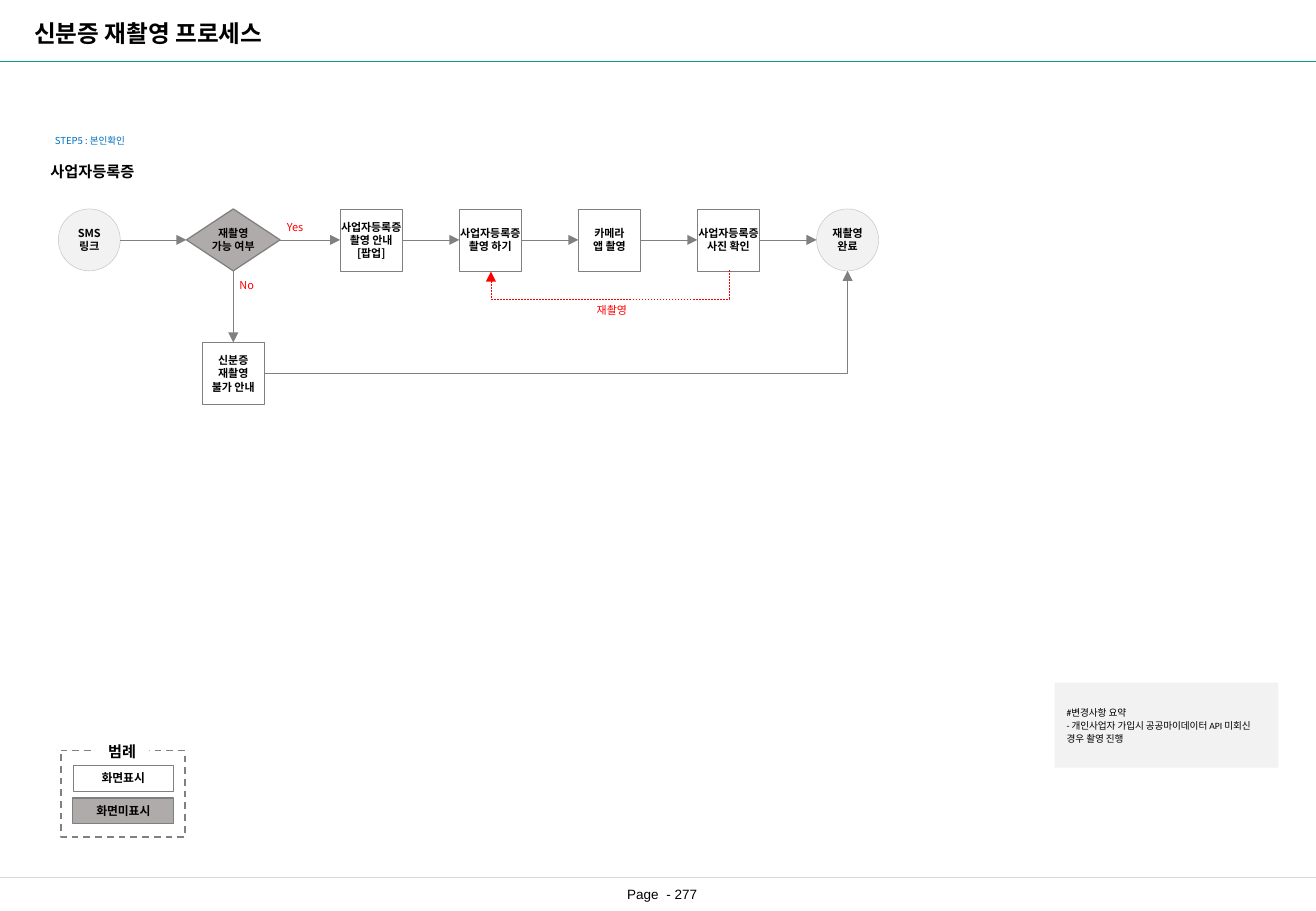
import lxml.etree
import pptx
import pptx.dml.color
import pptx.enum.dml
import pptx.enum.shapes
import pptx.enum.text
import pptx.oxml.ns
import pptx.util

Inches = pptx.util.Inches
Pt = pptx.util.Pt
RGB = pptx.dml.color.RGBColor
SHAPE = pptx.enum.shapes.MSO_SHAPE
LINK = pptx.enum.shapes.MSO_CONNECTOR
DASH = pptx.enum.dml.MSO_LINE
ANCHOR = pptx.enum.text.MSO_ANCHOR
ALIGN = pptx.enum.text.PP_ALIGN
qn = pptx.oxml.ns.qn

BLACK = RGB(0x00, 0x00, 0x00)
WHITE = RGB(0xFF, 0xFF, 0xFF)
RED = RGB(0xFF, 0x00, 0x00)
BLUE = RGB(0x00, 0x70, 0xC0)
TEAL = RGB(0x00, 0x99, 0x99)
GRAY = RGB(0x80, 0x80, 0x80)
DARK_GRAY = RGB(0x7F, 0x7F, 0x7F)
FILL_GRAY = RGB(0xAF, 0xAB, 0xAB)
RING_GRAY = RGB(0xBF, 0xBF, 0xBF)
RULE_GRAY = RGB(0xD9, 0xD9, 0xD9)
PALE = RGB(0xF2, 0xF2, 0xF2)
KOREAN = "Noto Sans CJK KR"
W, H = 10.83, 7.5
TOP, LEFT, BOTTOM, RIGHT = range(4)
NODE = 0.51


def write(sp, lines, size, color=BLACK, bold=False, align=ALIGN.CENTER, font=KOREAN,
          inset=(0.1, 0.05), anchor=ANCHOR.MIDDLE, wrap=False, spacing=None):
    tf = sp.text_frame
    tf.word_wrap = wrap
    tf.vertical_anchor = anchor
    tf.margin_left = tf.margin_right = Inches(inset[0])
    tf.margin_top = tf.margin_bottom = Inches(inset[1])
    for i, line in enumerate(lines):
        p = tf.paragraphs[0] if i == 0 else tf.add_paragraph()
        p.alignment = align
        if spacing:
            p.line_spacing = spacing
        r = p.add_run()
        r.text = line
        r.font.size = Pt(size)
        r.font.bold = bold
        r.font.color.rgb = color
        r.font.name = font
        ea = lxml.etree.SubElement(r.font._element, qn("a:ea"))
        ea.set("typeface", KOREAN)


def label(s, box, lines, size, **style):
    sp = s.shapes.add_textbox(*map(Inches, box))
    write(sp, lines, size, **style)
    return sp


def block(s, kind, box, fill=None, line=None, width=0.25):
    sp = s.shapes.add_shape(kind, *map(Inches, box))
    sp.shadow.inherit = False
    if fill is None:
        sp.fill.background()
    else:
        sp.fill.solid()
        sp.fill.fore_color.rgb = fill
    if line is None:
        sp.line.fill.background()
    else:
        sp.line.color.rgb = line
        sp.line.width = Pt(width)
    return sp


def connector(s, kind, start, end, color=GRAY, width=0.25, dash=None, arrow=False):
    c = s.shapes.add_connector(kind, *start, *end)
    c.line.color.rgb = color
    c.line.width = Pt(width)
    if dash:
        c.line.dash_style = dash
    if arrow:
        tail = lxml.etree.SubElement(c.line._get_or_add_ln(), qn("a:tailEnd"))
        tail.set("type", "triangle")
    lxml.etree.SubElement(c._element.spPr, qn("a:effectLst"))
    return c


def side_point(sp, side):
    dx, dy = {TOP: (1, 0), LEFT: (0, 1), BOTTOM: (1, 2), RIGHT: (2, 1)}[side]
    return sp.left + sp.width * dx // 2, sp.top + sp.height * dy // 2


def straight_arrow(s, source, out_side, target, in_side):
    c = connector(s, LINK.STRAIGHT, side_point(source, out_side),
                  side_point(target, in_side), arrow=True)
    if source.auto_shape_type != SHAPE.OVAL:
        c.begin_connect(source, out_side)
    if target.auto_shape_type != SHAPE.OVAL:
        c.end_connect(target, in_side)


def corner_arrow(s, source, target):
    c = connector(s, LINK.ELBOW, side_point(source, RIGHT),
                  side_point(target, BOTTOM), arrow=True)
    c._element.spPr.find(qn("a:prstGeom")).set("prst", "bentConnector2")


def return_arrow(s, source, target, depth):
    x1, y = side_point(source, BOTTOM)
    x2, _ = side_point(target, BOTTOM)
    mid, half, thin = (x1 + x2) // 2, (x1 - x2) // 2, Inches(0.01)
    c = connector(s, LINK.ELBOW, (mid, y - half), (mid + thin, y + half),
                  RED, dash=DASH.DASH, arrow=True)
    spPr = c._element.spPr
    spPr.find(qn("a:xfrm")).set("rot", "5400000")
    guides = spPr.find(qn("a:prstGeom")).get_or_add_avLst()
    guide = lxml.etree.SubElement(guides, qn("a:gd"))
    guide.set("name", "adj1")
    guide.set("fmla", f"val {round(Inches(depth) / thin * 100000)}")


def title_bar(s, box):
    x, y, w, h = box
    label(s, (x + 0.17, y + 0.1, 2.31, 0.34), ["신분증 재촬영 프로세스"], 14,
          bold=True, align=ALIGN.LEFT, inset=(0.11, 0.05))
    connector(s, LINK.STRAIGHT, (Inches(x), Inches(y + h)),
              (Inches(x + w), Inches(y + h)), TEAL, 0.5)


def section_heading(s, box):
    x, y, w, h = box
    label(s, (x + 0.05, y, 0.82, 0.21), ["STEP5 : 본인확인"], 5.7, color=BLUE,
          anchor=ANCHOR.TOP, spacing=1.11)
    label(s, (x, y + h / 2, w, h / 2), ["사업자등록증"], 9, bold=True, anchor=ANCHOR.TOP)


def process_flow(s, box):
    x, y, w, h = box
    pitch = 0.98
    last = x + w - NODE / 2
    decision_x = x + 1.44
    row1, row2 = y + NODE / 2, y + h - NODE / 2

    def node(kind, cx, cy, lines, width=NODE, fill=WHITE, line=GRAY, weight=0.25):
        sp = block(s, kind, (cx - width / 2, cy - NODE / 2, width, NODE), fill, line, weight)
        write(sp, lines, 6.5, bold=True, inset=(0, 0))
        return sp

    start = node(SHAPE.OVAL, x + NODE / 2, row1, ["SMS", "링크"], fill=PALE, line=RING_GRAY)
    decision = node(SHAPE.FLOWCHART_DECISION, decision_x, row1, ["재촬영", "가능 여부"],
                    width=0.77, fill=FILL_GRAY, line=DARK_GRAY, weight=0.75)
    steps = [["사업자등록증", "촬영 안내", "[팝업]"], ["사업자등록증", "촬영 하기"],
             ["카메라", "앱 촬영"], ["사업자등록증", "사진 확인"]]
    screens = [node(SHAPE.RECTANGLE, last - pitch * (len(steps) - i), row1, lines)
               for i, lines in enumerate(steps)]
    done = node(SHAPE.OVAL, last, row1, ["재촬영", "완료"], fill=PALE, line=RING_GRAY)
    refusal = node(SHAPE.RECTANGLE, decision_x, row2, ["신분증", "재촬영", "불가 안내"])

    chain = [start, decision, *screens, done]
    for source, target in zip(chain, chain[1:]):
        straight_arrow(s, source, RIGHT, target, LEFT)
    straight_arrow(s, decision, BOTTOM, refusal, TOP)
    corner_arrow(s, refusal, done)
    return_arrow(s, screens[3], screens[1], 0.24)

    for text, dx, dy, width, align in [("Yes", 1.79, 0.06, 0.45, ALIGN.LEFT),
                                       ("No", 1.4, 0.53, 0.45, ALIGN.LEFT),
                                       ("재촬영", 4.23, 0.74, 0.65, ALIGN.CENTER)]:
        label(s, (x + dx, y + dy, width, 0.2), [text], 6.5, color=RED, align=align,
              inset=(0.09, 0.04), anchor=ANCHOR.TOP, wrap=True)


def change_note(s, box):
    sp = block(s, SHAPE.RECTANGLE, box, PALE)
    write(sp, ["#변경사항 요약", "- 개인사업자 가입시 공공마이데이터 API 미회신 경우 촬영 진행"],
          5.7, align=ALIGN.LEFT, font="Calibri", wrap=True, spacing=1.11)


def legend(s, box):
    x, y, w, h = box
    frame = block(s, SHAPE.FLOWCHART_PROCESS, box, line=GRAY, width=1)
    frame.line.dash_style = DASH.DASH
    title = block(s, SHAPE.RECTANGLE, (x + 0.28, y - 0.12, 0.45, 0.25), WHITE)
    write(title, ["범례"], 9, bold=True, anchor=ANCHOR.TOP)
    keys = [("화면표시", WHITE, GRAY, 0.25), ("화면미표시", FILL_GRAY, DARK_GRAY, 0.75)]
    for i, (text, fill, line, width) in enumerate(keys):
        key = block(s, SHAPE.FLOWCHART_PROCESS, (x + 0.1, y + 0.12 + 0.27 * i, 0.83, 0.21),
                    fill, line, width)
        write(key, [text], 7, bold=True, inset=(0, 0))


def footer(s, box):
    x, y, w, h = box
    connector(s, LINK.STRAIGHT, (Inches(x), Inches(y)), (Inches(x + w), Inches(y)),
              RULE_GRAY, 0.5)
    label(s, (x + 4.7, y, 1.5, h), ["Page  - 277"], 8, font="Arial", wrap=True)


def main():
    prs = pptx.Presentation()
    prs.slide_width, prs.slide_height = Inches(W), Inches(H)
    s = prs.slides.add_slide(prs.slide_layouts[6])
    title_bar(s, (0, 0, W, 0.51))
    section_heading(s, (0.28, 1.05, 0.96, 0.48))
    process_flow(s, (0.48, 1.72, 6.75, 1.61))
    change_note(s, (8.68, 5.62, 1.84, 0.7))
    legend(s, (0.5, 6.18, 1.02, 0.71))
    footer(s, (0, 7.22, W, 0.28))
    prs.save("out.pptx")


if __name__ == "__main__":
    main()
